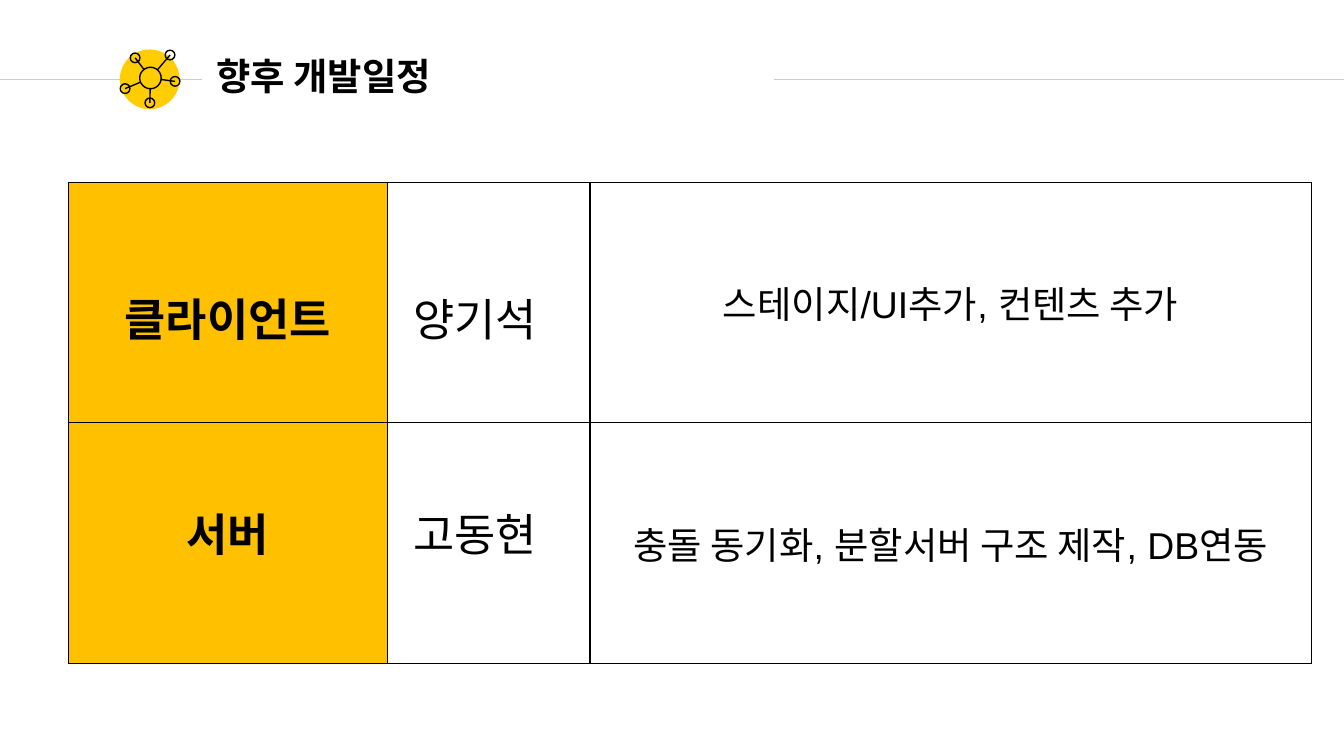
from dataclasses import dataclass
from math import hypot

from lxml.etree import SubElement
from pptx import Presentation
from pptx.dml.color import RGBColor
from pptx.enum.shapes import MSO_CONNECTOR, MSO_SHAPE
from pptx.enum.text import MSO_ANCHOR, PP_ALIGN
from pptx.oxml.ns import qn
from pptx.slide import Slide
from pptx.table import _Cell
from pptx.text.text import _Paragraph
from pptx.util import Pt


@dataclass(frozen=True)
class Theme:
    ink: str = "000000"
    rule: str = "CCCCCC"
    badge: str = "FFCD00"
    team_fill: str = "FFC000"
    paper: str = "FFFFFF"
    latin: str = "Arial"
    korean: str = "Noto Sans CJK KR"
    title_size: float = 20
    name_size: float = 24
    task_size: float = 20
    line: float = 0.75


@dataclass(frozen=True)
class Point:
    x: float
    y: float


@dataclass(frozen=True)
class Assignment:
    team: str
    member: str
    tasks: str
    drop: float  # how far team and member sit below the row's middle


THEME = Theme()
WIDTH, HEIGHT = 720, 405
RULE_Y = 42.5

HUB, HUB_SIZE = Point(80.6, 41.8), 11.5
NODES = [Point(91.1, 29.5), Point(72.4, 31), Point(67, 47.5),
         Point(80.3, 55.1), Point(93.8, 43.6)]
NODE_SIZE = 5.2

COLUMNS = [170.8, 108.7, 386.5]
ROW_HEIGHT = 128.8
ASSIGNMENTS = [
    Assignment("클라이언트", "양기석", "스테이지/UI추가, 컨텐츠 추가", 7.5),
    Assignment("서버", "고동현", "충돌 동기화, 분할서버 구조 제작, DB연동", -6),
]


def rgb(value: str) -> RGBColor:
    return RGBColor.from_string(value)


def add_line(slide: Slide, start: Point, end: Point, color: str) -> None:
    line = slide.shapes.add_connector(
        MSO_CONNECTOR.STRAIGHT, Pt(start.x), Pt(start.y), Pt(end.x), Pt(end.y))
    line.line.color.rgb = rgb(color)
    line.line.width = Pt(THEME.line)
    SubElement(line._element.spPr, qn("a:effectLst"))


def add_circle(slide: Slide, center: Point, size: float, fill: str = "") -> None:
    """Filled without outline, or outlined without fill."""
    circle = slide.shapes.add_shape(
        MSO_SHAPE.OVAL, Pt(center.x - size / 2), Pt(center.y - size / 2),
        Pt(size), Pt(size))
    circle.shadow.inherit = False
    if fill:
        circle.fill.solid()
        circle.fill.fore_color.rgb = rgb(fill)
        circle.line.fill.background()
    else:
        circle.fill.background()
        circle.line.color.rgb = rgb(THEME.ink)
        circle.line.width = Pt(THEME.line)


def add_run(paragraph: _Paragraph, text: str, size: float, latin: str,
            bold: bool = False) -> None:
    run = paragraph.add_run()
    run.text = text
    run.font.size = Pt(size)
    run.font.bold = bold
    run.font.color.rgb = rgb(THEME.ink)
    run.font.name = latin
    SubElement(run.font._element, qn("a:ea"), typeface=THEME.korean)


def add_borders(cell: _Cell) -> None:
    properties = cell._tc.get_or_add_tcPr()
    for position, side in enumerate(("lnL", "lnR", "lnT", "lnB")):
        border = SubElement(properties, qn(f"a:{side}"), w=str(Pt(THEME.line)))
        fill = SubElement(border, qn("a:solidFill"))
        SubElement(fill, qn("a:srgbClr"), val=THEME.ink)
        properties.insert(position, border)


def fill_cell(cell: _Cell, text: str, size: float, align: PP_ALIGN,
              fill: str = THEME.paper, bold: bool = False,
              drop: float = 0, left: float = 7.2) -> None:
    cell.fill.solid()
    cell.fill.fore_color.rgb = rgb(fill)
    add_borders(cell)
    cell.vertical_anchor = MSO_ANCHOR.MIDDLE
    cell.margin_left = Pt(left)
    # An uneven pair of margins moves the text by half their difference
    cell.margin_top = Pt(3.6 + max(2 * drop, 0))
    cell.margin_bottom = Pt(3.6 + max(-2 * drop, 0))
    paragraph = cell.text_frame.paragraphs[0]
    paragraph.alignment = align
    add_run(paragraph, text, size, THEME.latin, bold)


def add_network_icon(slide: Slide) -> None:
    for node in NODES:
        add_circle(slide, node, NODE_SIZE)
    add_circle(slide, HUB, HUB_SIZE)
    # Spokes run from each node's centre to the hub's rim
    for node in NODES:
        dx, dy = node.x - HUB.x, node.y - HUB.y
        reach = HUB_SIZE / 2 / hypot(dx, dy)
        add_line(slide, node, Point(HUB.x + dx * reach, HUB.y + dy * reach),
                 THEME.ink)


def add_title(slide: Slide, text: str) -> None:
    title = slide.shapes.add_textbox(Pt(108.7), Pt(23), Pt(305.3), Pt(34.6))
    frame = title.text_frame
    frame.word_wrap = True
    frame.vertical_anchor = MSO_ANCHOR.MIDDLE
    frame.margin_left = frame.margin_right = Pt(7.2)
    frame.margin_top = frame.margin_bottom = Pt(7.2)
    add_run(frame.paragraphs[0], text, THEME.title_size, THEME.korean, True)


def add_schedule(slide: Slide, assignments: list[Assignment]) -> None:
    schedule = slide.shapes.add_table(
        len(assignments), len(COLUMNS), Pt(36.6), Pt(97.7),
        Pt(sum(COLUMNS)), Pt(ROW_HEIGHT * len(assignments))).table
    schedule.first_row = schedule.horz_banding = False
    for column, width in zip(schedule.columns, COLUMNS):
        column.width = Pt(width)
    for row, item in zip(schedule.rows, assignments):
        row.height = Pt(ROW_HEIGHT)
        team, member, tasks = row.cells
        fill_cell(team, item.team, THEME.name_size, PP_ALIGN.CENTER,
                  fill=THEME.team_fill, bold=True, drop=item.drop)
        fill_cell(member, item.member, THEME.name_size, PP_ALIGN.LEFT,
                  drop=item.drop, left=13.9)
        fill_cell(tasks, item.tasks, THEME.task_size, PP_ALIGN.CENTER)


def main() -> None:
    deck = Presentation()
    deck.slide_width, deck.slide_height = Pt(WIDTH), Pt(HEIGHT)
    slide = deck.slides.add_slide(deck.slide_layouts[6])

    # Header: rules, badge with icon, title
    add_line(slide, Point(0, RULE_Y), Point(108, RULE_Y), THEME.rule)
    add_circle(slide, Point(80.2, RULE_Y), 32, THEME.badge)
    add_line(slide, Point(414.7, RULE_Y), Point(WIDTH, RULE_Y), THEME.rule)
    add_network_icon(slide)
    add_title(slide, "향후 개발일정")

    # Who develops what
    add_schedule(slide, ASSIGNMENTS)

    deck.save("out.pptx")


if __name__ == "__main__":
    main()
